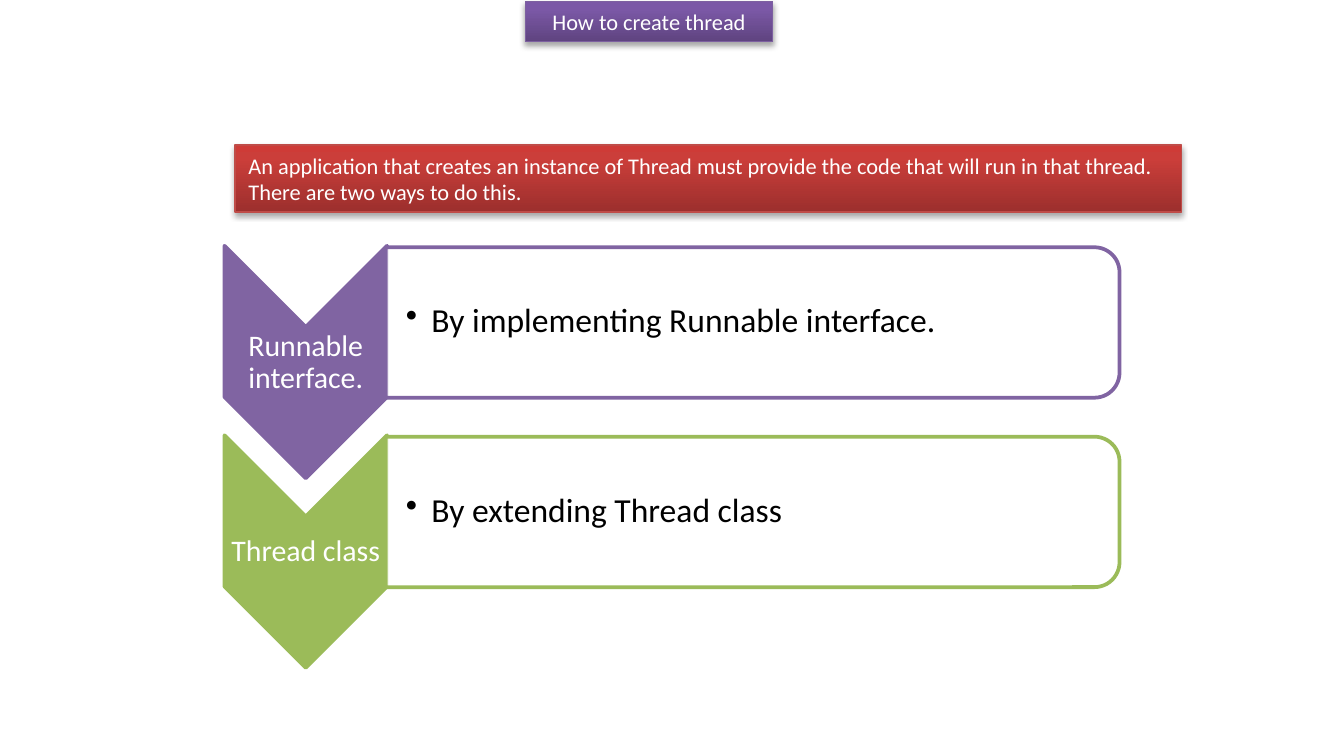
from copy import deepcopy
from dataclasses import dataclass

from lxml.etree import SubElement
from pptx import Presentation
from pptx.dml.color import RGBColor
from pptx.enum.shapes import MSO_SHAPE
from pptx.enum.text import MSO_ANCHOR, MSO_AUTO_SIZE, PP_ALIGN
from pptx.oxml.ns import qn
from pptx.util import Inches, Pt


@dataclass(frozen=True)
class Theme:
    font: str = "Calibri"
    white: str = "FFFFFF"
    black: str = "000000"
    purple: str = "8064A2"
    green: str = "9BBB59"
    banner_size: int = 12
    label_size: int = 16
    body_size: int = 18
    purple_line: str = "7D60A0"
    purple_gradient: tuple = ("5F4480", "7B58A6", "7C57A8")
    red_line: str = "BF4C48"
    red_gradient: tuple = ("9C2F2D", "CB3E3A", "CE3B37")


theme = Theme()


def write_text(shape, text, *, size, color, align=PP_ALIGN.LEFT, anchor=MSO_ANCHOR.TOP,
               margins=(0.1, 0.05, 0.1, 0.05), wrap=True, spacing=None, bullet=False):
    """Fill a shape with one paragraph per line; margins are left, top, right, bottom."""
    frame = shape.text_frame
    frame.text = text
    frame.word_wrap = wrap
    frame.vertical_anchor = anchor
    (frame.margin_left, frame.margin_top,
     frame.margin_right, frame.margin_bottom) = map(Inches, margins)
    for paragraph in frame.paragraphs:
        paragraph.alignment = align
        if spacing:
            paragraph.line_spacing = spacing
        if bullet:
            paragraph.level = 1
            properties = paragraph._p.get_or_add_pPr()
            properties.set("marL", str(Inches(0.19)))
            properties.set("indent", str(Inches(-0.19)))
            SubElement(properties, qn("a:buChar")).set("char", "•")
        for run in paragraph.runs:
            run.font.name = theme.font
            run.font.size = Pt(size)
            run.font.color.rgb = RGBColor.from_string(color)


def add_outlined_shape(kind, box, line_color, line_width):
    shape = slide.shapes.add_shape(kind, *map(Inches, box))
    shape.line.color.rgb = RGBColor.from_string(line_color)
    shape.line.width = Pt(line_width)
    shape.shadow.inherit = False
    return shape


presentation = Presentation()
presentation.slide_width = Inches(10)
presentation.slide_height = Inches(5.5)
slide = presentation.slides.add_slide(presentation.slide_layouts[6])

# The two ways, lower one first so that the upper chevron overlaps it
row_pitch = 1.41
ways = [
    (1, theme.green, "Thread class", "By extending Thread class"),
    (0, theme.purple, "Runnable interface.", "By implementing Runnable interface."),
]
for row, color, label, description in ways:
    offset = row * row_pitch

    chevron = add_outlined_shape(
        MSO_SHAPE.CHEVRON, (1.41, 2.09 + offset, 1.73, 1.21), color, 2)
    chevron.rotation = 90
    chevron.fill.solid()
    chevron.fill.fore_color.rgb = RGBColor.from_string(color)
    label_box = slide.shapes.add_textbox(
        *map(Inches, (1.67, 2.44 + offset, 1.21, 0.52)))
    write_text(label_box, label, size=theme.label_size, color=theme.white,
               align=PP_ALIGN.CENTER, anchor=MSO_ANCHOR.MIDDLE,
               margins=(0.01,) * 4, spacing=0.9)

    panel = add_outlined_shape(
        MSO_SHAPE.ROUND_2_SAME_RECTANGLE, (5.04, -0.33 + offset, 1.12, 5.46), color, 2)
    panel.rotation = 90
    panel.fill.solid()
    panel.fill.fore_color.rgb = RGBColor.from_string(theme.white)
    panel_color = panel._element.spPr.find(qn("a:solidFill")).find(qn("a:srgbClr"))
    SubElement(panel_color, qn("a:alpha")).set("val", "90000")
    description_box = slide.shapes.add_textbox(
        *map(Inches, (2.88, 1.89 + offset, 5.4, 1.01)))
    write_text(description_box, description, size=theme.body_size, color=theme.black,
               anchor=MSO_ANCHOR.MIDDLE, margins=(0.14, 0.01, 0.01, 0.01),
               spacing=0.9, bullet=True)

# Title and introduction banners
introduction = (
    "An application that creates an instance of Thread must provide "
    "the code that will run in that thread.\nThere are two ways to do this."
)
banners = [
    ((3.91, 0.01, 1.84, 0.3), theme.purple_line, theme.purple_gradient,
     "How to create thread", PP_ALIGN.CENTER, True),
    ((1.75, 1.08, 7.04, 0.5), theme.red_line, theme.red_gradient,
     introduction, PP_ALIGN.LEFT, False),
]
for box, line_color, gradient, text, align, wrap in banners:
    banner = add_outlined_shape(MSO_SHAPE.RECTANGLE, box, line_color, 0.75)
    banner.fill.gradient()
    banner.fill.gradient_angle = 90
    stop_list = banner._element.spPr.find(qn("a:gradFill")).find(qn("a:gsLst"))
    stop_list.append(deepcopy(stop_list[-1]))
    for stop, position, color in zip(banner.fill.gradient_stops, (0, 0.8, 1), gradient):
        stop.position = position
        stop.color.rgb = RGBColor.from_string(color)

    effects = banner._element.spPr.find(qn("a:effectLst"))
    shadow = SubElement(effects, qn("a:outerShdw"), blurRad=str(Pt(3.1)),
                        dist=str(Pt(1.8)), dir="5400000", rotWithShape="0")
    shadow_color = SubElement(shadow, qn("a:srgbClr"), val=theme.black)
    SubElement(shadow_color, qn("a:alpha"), val="35000")

    write_text(banner, text, size=theme.banner_size, color=theme.white,
               align=align, wrap=wrap)
    banner.text_frame.auto_size = MSO_AUTO_SIZE.SHAPE_TO_FIT_TEXT

presentation.save("out.pptx")
